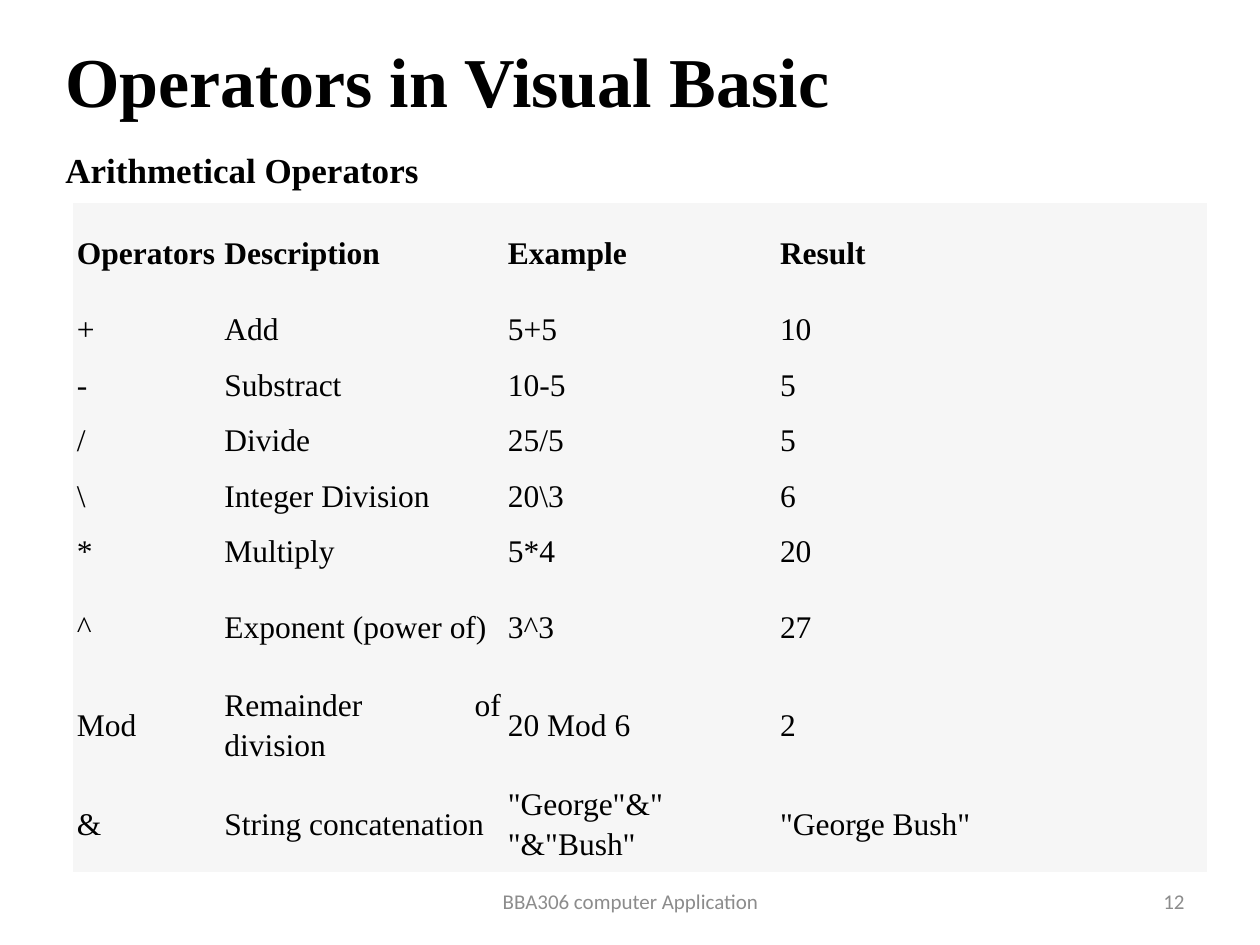
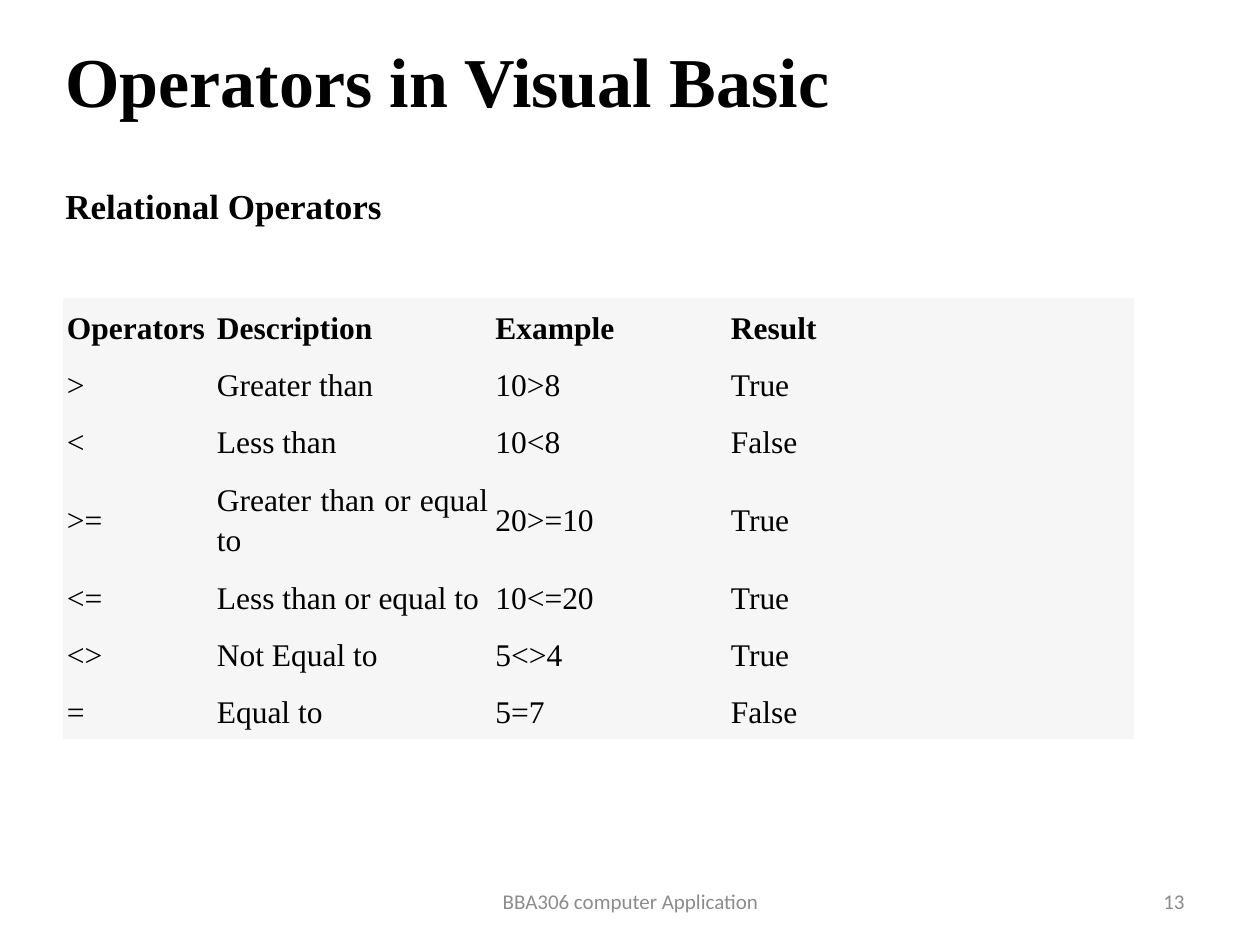
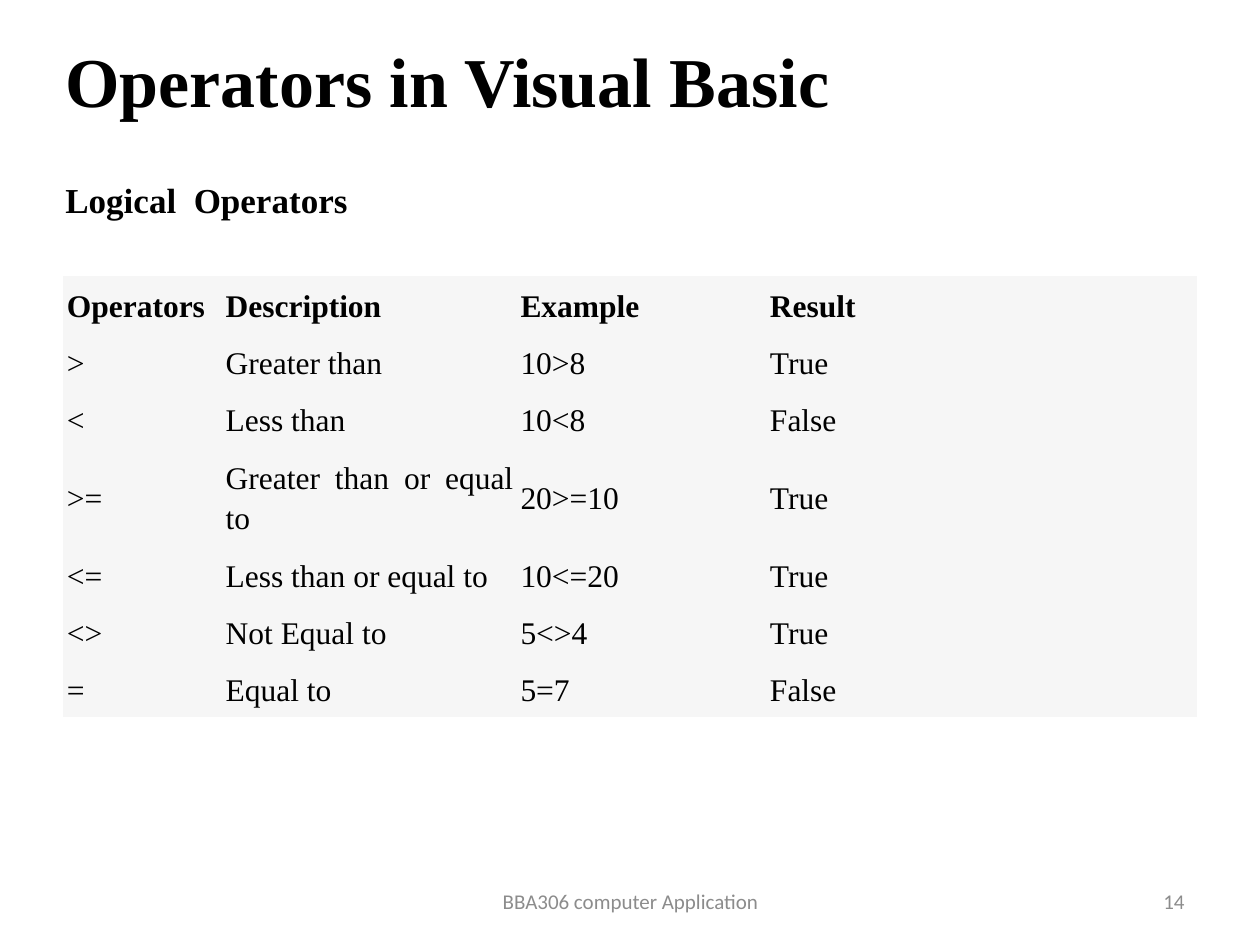
from dataclasses import dataclass

from pptx import Presentation
from pptx import util as u
from pptx.dml.color import RGBColor
from pptx.enum import text
from pptx.oxml.ns import qn

# Content
TITLE = "Operators in Visual Basic"
FOOTER = "BBA306 computer Application"
FIRST_NUMBER = 12
HEADER = ("Operators", "Description", "Example", "Result")

ARITHMETIC = [
    ("+", "Add", "5+5", "10"),
    ("-", "Substract", "10-5", "5"),
    ("/", "Divide", "25/5", "5"),
    ("\\", "Integer Division", "20\\3", "6"),
    ("*", "Multiply", "5*4", "20"),
    ("^", "Exponent (power of)", "3^3", "27"),
    ("Mod", "Remainder of division", "20 Mod 6", "2"),
    ("&", "String concatenation", '"George"&" "&"Bush"', '"George Bush"'),
]
COMPARISON = [
    (">", "Greater than", "10>8", "True"),
    ("<", "Less than", "10<8", "False"),
    (">=", "Greater than or equal to", "20>=10", "True"),
    ("<=", "Less than or equal to", "10<=20", "True"),
    ("<>", "Not Equal to", "5<>4", "True"),
    ("=", "Equal to", "5=7", "False"),
]

# Column shares are percentages; tall rows are counted from the header as 0
SLIDES = [
    dict(heading="Arithmetical Operators", heading_top=142, rows=ARITHMETIC,
         at=(73, 203), width=1134, shares=(13, 25, 24, 38),
         row_height=53, tall_height=97, tall_rows={0, 6, 7, 8}),
    dict(heading="Relational Operators", heading_top=178, rows=COMPARISON,
         at=(63, 298), width=1071, shares=(14, 26, 22, 38),
         row_height=57, tall_height=98, tall_rows={3}),
    dict(heading="Logical  Operators", heading_top=172, rows=COMPARISON,
         at=(63, 276), width=1134, shares=(14, 26, 22, 38),
         row_height=57, tall_height=98, tall_rows={3}),
]


@dataclass(frozen=True)
class Theme:
    ink: str = "000000"
    muted: str = "8C8C8C"
    cell: str = "F6F6F6"
    serif: str = "Times New Roman"
    sans: str = "Calibri"
    title: int = 40
    heading: int = 20
    body: int = 18
    footer: int = 12
    line_spacing: float = 1.15


T = Theme()
PX = u.Inches(1) / 126
TITLE_BOX = (53, 0, 1134, 158)
FOOTER_BOX = (431, 876, 399, 50)
NUMBER_BOX = (903, 876, 294, 50)
HEADING_LEFT, HEADING_WIDTH, HEADING_HEIGHT = 53, 882, 55
CELL_MARGINS = (4, 6, 3, 6)
NO_GRID_STYLE = "{2D5ABB26-0587-4C30-8999-92F81FD0307C}"
ALIGN = text.PP_ALIGN
MIDDLE = text.MSO_ANCHOR.MIDDLE


def emu(*lengths):
    return [u.Emu(round(n * PX)) for n in lengths]


def write(tf, words, size, bold=False, font=T.serif, color=T.ink, align=ALIGN.LEFT):
    """Fill a text frame with one formatted paragraph."""
    tf.text = words
    tf.word_wrap = True
    tf.vertical_anchor = MIDDLE
    p = tf.paragraphs[0]
    p.alignment = align
    p.font.name, p.font.size, p.font.bold = font, u.Pt(size), bold
    p.font.color.rgb = RGBColor.from_string(color)
    return p


def add_text(s, box, words, size, **style):
    tf = s.shapes.add_textbox(*emu(*box)).text_frame
    write(tf, words, size, **style)
    return tf


def add_frame(s, number):
    """Title, footer and slide number shared by all slides."""
    title = s.shapes.title
    title.left, title.top, title.width, title.height = emu(*TITLE_BOX)
    write(title.text_frame, TITLE, T.title, bold=True)
    small = dict(size=T.footer, font=T.sans, color=T.muted)
    add_text(s, FOOTER_BOX, FOOTER, align=ALIGN.CENTER, **small)
    add_text(s, NUMBER_BOX, str(number), align=ALIGN.RIGHT, **small)


def add_operator_table(s, d):
    rows = [HEADER, *d["rows"]]
    heights = [d["tall_height"] if i in d["tall_rows"] else d["row_height"]
               for i in range(len(rows))]
    frame = s.shapes.add_table(len(rows), len(HEADER),
                               *emu(*d["at"], d["width"], sum(heights)))
    table = frame.table
    table.first_row = table.horz_banding = False
    next(frame.element.iter(qn("a:tableStyleId"))).text = NO_GRID_STYLE

    for column, share in zip(table.columns, d["shares"]):
        column.width, = emu(d["width"] * share / 100)
    for i, (values, height) in enumerate(zip(rows, heights)):
        table.rows[i].height, = emu(height)
        for j, value in enumerate(values):
            cell = table.cell(i, j)
            cell.fill.solid()
            cell.fill.fore_color.rgb = RGBColor.from_string(T.cell)
            (cell.margin_left, cell.margin_top,
             cell.margin_right, cell.margin_bottom) = emu(*CELL_MARGINS)
            p = write(cell.text_frame, value, T.body, bold=i == 0,
                      align=ALIGN.JUSTIFY)
            p.line_spacing = T.line_spacing
            cell.vertical_anchor = MIDDLE


def main():
    prs = Presentation()
    prs.slide_width, prs.slide_height = emu(1260, 945)
    layout = prs.slide_layouts.get_by_name("Title Only")
    for number, d in enumerate(SLIDES, FIRST_NUMBER):
        s = prs.slides.add_slide(layout)
        add_frame(s, number)
        box = (HEADING_LEFT, d["heading_top"], HEADING_WIDTH, HEADING_HEIGHT)
        tf = add_text(s, box, d["heading"], T.heading, bold=True)
        tf.auto_size = text.MSO_AUTO_SIZE.SHAPE_TO_FIT_TEXT
        add_operator_table(s, d)
    prs.save("out.pptx")


if __name__ == "__main__":
    main()
